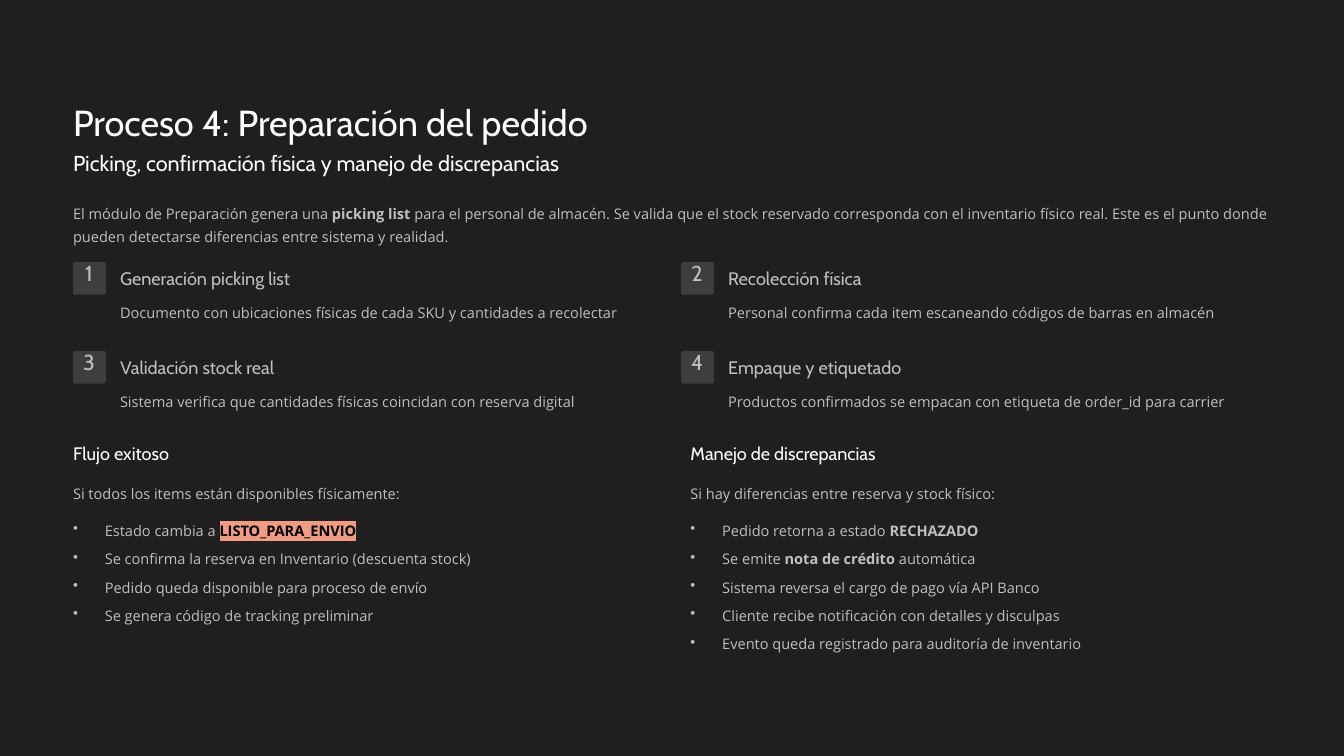
from dataclasses import dataclass

from lxml.etree import SubElement, Element
from pptx import Presentation
from pptx.dml.color import RGBColor as Rgb
from pptx.enum.shapes import MSO_SHAPE as Shape
from pptx.enum.text import MSO_ANCHOR as Anchor, PP_ALIGN as Align
from pptx.oxml.ns import qn
from pptx.util import Cm, Pt


@dataclass(frozen=True)
class Theme:
    """Colours, fonts and type styles of the slide."""
    ground: str = "1F1F1F"
    badge: str = "3E3E3E"
    bright: str = "FEFEFE"
    soft: str = "BFBFBF"
    dark: str = "000000"
    mark: str = "EF9C82"
    display: str = "Cabin"
    text: str = "Open Sans"

    def style(self, kind):
        """Return font, size, line pitch and colour of a kind of text."""
        return {
            "title": (self.display, 31, 39, self.bright),
            "subtitle": (self.display, 18.5, 23, self.bright),
            "number": (self.display, 18.5, 18.5, self.soft),
            "section": (self.display, 15.5, 19.5, self.bright),
            "step": (self.display, 15.5, 19.5, self.soft),
            "body": (self.text, 12.5, 20, self.soft),
        }[kind]


class SlideBuilder:
    """Draws themed elements on the current page."""

    def __init__(self, page, theme):
        """Keep the page and theme, and paint the background."""
        self.page, self.theme = page, theme
        self.paint(page.background.fill, theme.ground)

    def paint(self, fill, colour):
        """Give a fill one solid colour."""
        fill.solid()
        fill.fore_color.rgb = Rgb.from_string(colour)

    def text(self, kind, left, top, width, height, *lines,
             align=Align.LEFT, bullets=False):
        """Add a text box; each line is a string or a list of (text, look)."""
        box = self.page.shapes.add_textbox(Cm(left), Cm(top), Cm(width), Cm(height))
        frame = box.text_frame
        frame_format = dict(margin_left=0, margin_top=0, margin_right=0, margin_bottom=0,
                            word_wrap=True, vertical_anchor=Anchor.TOP)
        for name, value in frame_format.items():
            setattr(frame, name, value)
        for index, line in enumerate(lines):
            para = frame.add_paragraph() if index else frame.paragraphs[0]
            para_format = dict(alignment=align, line_spacing=Pt(self.theme.style(kind)[2]),
                               space_before=Pt(4.3 if index else 0))
            for name, value in para_format.items():
                setattr(para, name, value)
            if bullets:
                self.bullet(para)
            for words, look in [(line, "")] if isinstance(line, str) else line:
                self.span(para, kind, words, look)

    def bullet(self, para):
        """Give a paragraph a hanging bullet in the body colour."""
        props = para._p.get_or_add_pPr()
        props.set("marL", str(Cm(0.96)))
        props.set("indent", str(-Cm(0.96)))
        SubElement(props, qn("a:buChar"), char="•")

    def span(self, para, kind, words, look):
        """Add a run, plain, bold or marked."""
        family, size, _, colour = self.theme.style(kind)
        span = para.add_run()
        span.text = words
        font_format = dict(name=family, size=Pt(size), bold=look in ("bold", "marked"))
        for name, value in font_format.items():
            setattr(span.font, name, value)
        marked = look == "marked"
        self.paint(span.font.fill, self.theme.dark if marked else colour)
        if marked:
            highlight = Element(qn("a:highlight"))
            SubElement(highlight, qn("a:srgbClr"), val=self.theme.mark)
            span.font._element.find(qn("a:solidFill")).addnext(highlight)

    def badge(self, left, top, number):
        """Add a small rounded square with a number."""
        box = self.page.shapes.add_shape(
            Shape.ROUNDED_RECTANGLE, Cm(left), Cm(top), Cm(0.99), Cm(0.99))
        box.adjustments[0] = 0.07
        box.shadow.inherit = False
        self.paint(box.fill, self.theme.badge)
        box.line.fill.background()
        self.text("number", left + 0.15, top + 0.08, 0.66, 0.84, str(number),
                  align=Align.CENTER)

    def step(self, left, top, number, heading, detail):
        """Add a numbered step with its heading and detail."""
        self.badge(left, top, number)
        self.text("step", left + 1.42, top + 0.15, 5.82, 0.69, heading)
        self.text("body", left + 1.42, top + 1.09, 16.41, 0.71, detail)

    def section(self, left, heading, lead, items):
        """Add a heading, a lead sentence and a bulleted list."""
        self.text("section", left, 13.36, 6.3, 0.69, heading)
        self.text("body", left, 14.48, 17.58, 0.71, lead)
        self.text("body", left, 15.6, 17.58, 0.86 * len(items), *items, bullets=True)


STEPS = [
    ("Generación picking list",
     "Documento con ubicaciones físicas de cada SKU y cantidades a recolectar"),
    ("Recolección física",
     "Personal confirma cada item escaneando códigos de barras en almacén"),
    ("Validación stock real",
     "Sistema verifica que cantidades físicas coincidan con reserva digital"),
    ("Empaque y etiquetado",
     "Productos confirmados se empacan con etiqueta de order_id para carrier"),
]
SECTIONS = [
    ("Flujo exitoso", "Si todos los items están disponibles físicamente:", [
        [("Estado cambia a ", ""), ("LISTO_PARA_ENVIO", "marked")],
        "Se confirma la reserva en Inventario (descuenta stock)",
        "Pedido queda disponible para proceso de envío",
        "Se genera código de tracking preliminar",
    ]),
    ("Manejo de discrepancias", "Si hay diferencias entre reserva y stock físico:", [
        [("Pedido retorna a estado ", ""), ("RECHAZADO", "bold")],
        [("Se emite ", ""), ("nota de crédito", "bold"), (" automática", "")],
        "Sistema reversa el cargo de pago vía API Banco",
        "Cliente recibe notificación con detalles y disculpas",
        "Evento queda registrado para auditoría de inventario",
    ]),
]
INTRO = [
    ("El módulo de Preparación genera una ", ""),
    ("picking list", "bold"),
    (" para el personal de almacén. Se valida que el stock reservado corresponda con el "
     "inventario físico real. Este es el punto donde pueden detectarse diferencias entre "
     "sistema y realidad.", ""),
]


def main():
    """Build the order preparation slide and save it."""
    deck = Presentation()
    deck.slide_width, deck.slide_height = Cm(40.64), Cm(22.86)
    page = deck.slides.add_slide(deck.slide_layouts[6])
    builder = SlideBuilder(page, Theme())
    margin = 2.21
    builder.text("title", margin, 2.97, 17.4, 1.37, "Proceso 4: Preparación del pedido")
    builder.text("subtitle", margin, 4.52, 16.61, 0.84,
                 "Picking, confirmación física y manejo de discrepancias")
    builder.text("body", margin, 6.02, 36.22, 1.42, INTRO)
    for index, (heading, detail) in enumerate(STEPS):
        row, column = divmod(index, 2)
        builder.step(margin + 18.39 * column, 7.92 + 2.69 * row, index + 1, heading, detail)
    for column, (heading, lead, items) in enumerate(SECTIONS):
        builder.section(margin + 18.67 * column, heading, lead, items)
    deck.save("out.pptx")


if __name__ == "__main__":
    main()
